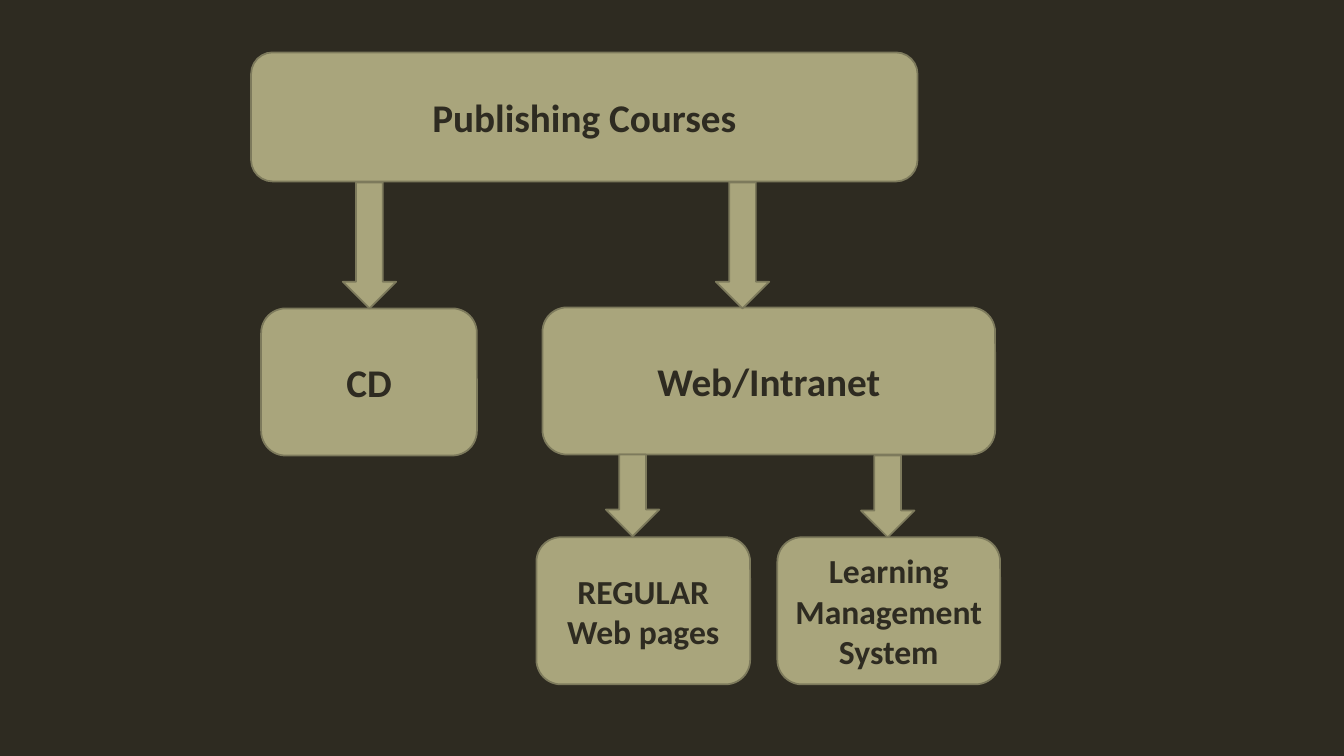
from dataclasses import dataclass

import pptx
import pptx.util
from pptx.dml.color import RGBColor
from pptx.enum.shapes import MSO_SHAPE
from pptx.enum.text import MSO_ANCHOR, PP_ALIGN
from pptx.util import Inches

DARK = RGBColor(0x2E, 0x2B, 0x21)
OLIVE = RGBColor(0xA9, 0xA5, 0x7C)
EDGE = RGBColor(0x7D, 0x7A, 0x5C)
ARROW_WIDTH = 0.53


@dataclass
class Box:
    left: float
    top: float
    width: float
    height: float
    lines: list[str]
    size: int = 28


@dataclass
class Arrow:
    left: float
    top: float
    height: float


BOXES = [
    Box(2.49, 0.52, 6.61, 1.28, ["Publishing Courses"]),
    Box(2.59, 3.06, 2.14, 1.46, ["CD"]),
    Box(5.38, 3.05, 4.49, 1.46, ["Web/Intranet"]),
    Box(5.32, 5.33, 2.12, 1.46, ["REGULAR", "Web pages"], 24),
    Box(7.71, 5.33, 2.21, 1.46, ["Learning", "Management", "System"], 24),
]
ARROWS = [
    Arrow(3.4, 1.81, 1.25),
    Arrow(7.1, 1.81, 1.25),
    Arrow(6.01, 4.51, 0.81),
    Arrow(8.54, 4.52, 0.81),
]


def add_olive_shape(s: pptx.slide.Slide, kind: MSO_SHAPE, left: float, top: float,
                    width: float, height: float) -> pptx.shapes.autoshape.Shape:
    sp = s.shapes.add_shape(kind, Inches(left), Inches(top),
                            Inches(width), Inches(height))
    sp.shadow.inherit = False
    sp.fill.solid()
    sp.fill.fore_color.rgb = OLIVE
    sp.line.color.rgb = EDGE
    sp.line.width = pptx.util.Pt(1.25)
    return sp


def add_box(s: pptx.slide.Slide, box: Box) -> None:
    sp = add_olive_shape(s, MSO_SHAPE.ROUNDED_RECTANGLE,
                         box.left, box.top, box.width, box.height)
    tf = sp.text_frame
    tf.word_wrap = True
    tf.vertical_anchor = MSO_ANCHOR.MIDDLE
    tf.text = "\n".join(box.lines)
    for p in tf.paragraphs:
        p.alignment = PP_ALIGN.CENTER
        p.font.name = "Calibri"
        p.font.size = pptx.util.Pt(box.size)
        p.font.bold = True
        p.font.color.rgb = DARK


def main() -> None:
    prs = pptx.Presentation()
    prs.slide_width, prs.slide_height = Inches(13.33), Inches(7.5)
    s = prs.slides.add_slide(prs.slide_layouts[6])
    s.background.fill.solid()
    s.background.fill.fore_color.rgb = DARK

    # Publishing options
    for box in BOXES:
        add_box(s, box)

    # Arrows down to each option
    for arrow in ARROWS:
        add_olive_shape(s, MSO_SHAPE.DOWN_ARROW, arrow.left, arrow.top,
                        ARROW_WIDTH, arrow.height)

    prs.save("out.pptx")


if __name__ == "__main__":
    main()
